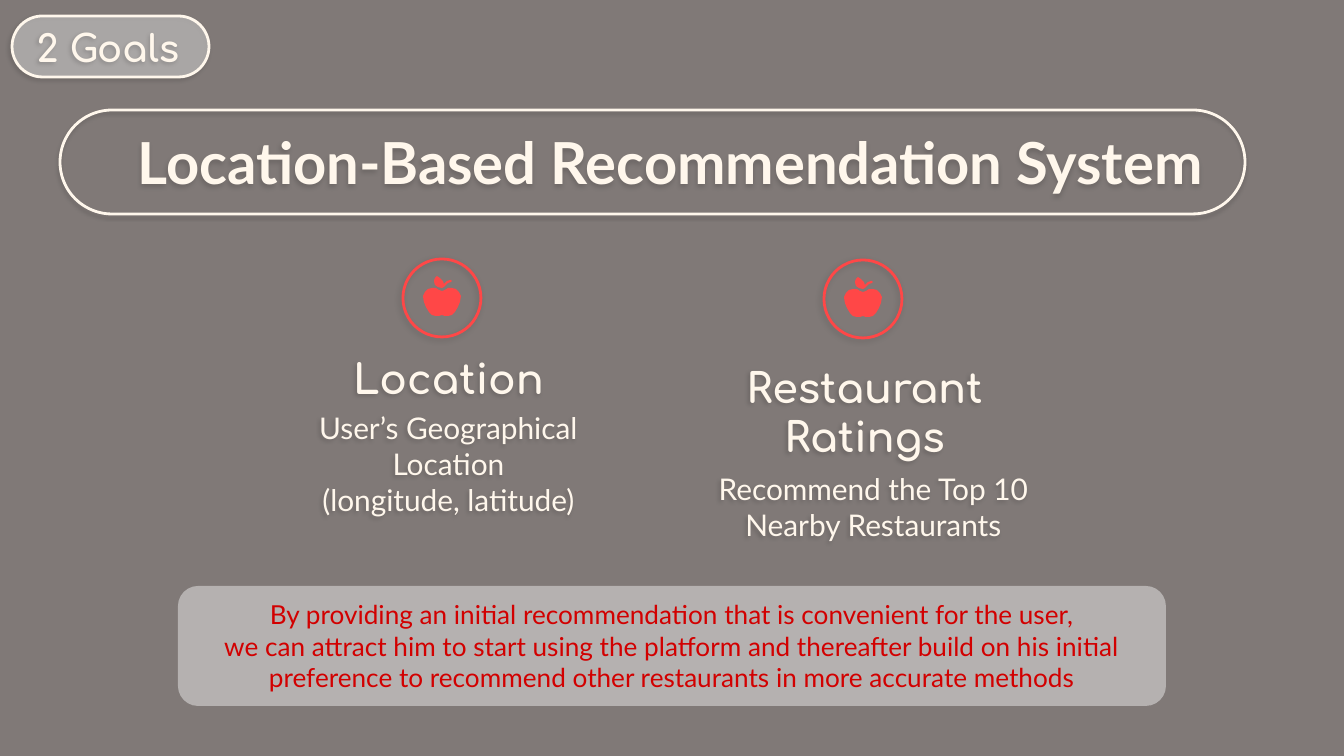
from lxml.etree import SubElement
from pptx import Presentation
from pptx.dml.color import RGBColor
from pptx.enum.shapes import MSO_SHAPE as Shape
from pptx.enum.text import MSO_ANCHOR as Anchor, MSO_AUTO_SIZE as AutoSize, PP_ALIGN as Align
from pptx.oxml.ns import qn
from pptx.util import Pt

PX = 914400 / 134.4
CREAM, RED, DARK_RED = "FFF7EC", "FF4747", "D20000"
HEADING, BODY = "Comfortaa", "Lato"

# Apple points relative to the top centre of the icon
APPLE_HALF = [(0, 15), (3, 14), (6, 12), (10, 12), (14, 13), (17, 16), (19, 20),
              (18, 26), (16, 31), (13, 36), (10, 39), (6, 40), (3, 40), (0, 39)]
APPLE = APPLE_HALF + [(-x, y) for x, y in APPLE_HALF[-2:0:-1]]
LEAF = [(-5, 0), (-7, 2), (-8, 5), (-7, 9), (-4, 11), (0, 12), (2, 11), (4, 9), (6, 7),
        (9, 6), (10, 5), (9, 4), (8, 4), (5, 5), (2, 8), (1, 5), (-2, 2)]


def px(length):
    return round(length * PX)


def color(hex_value):
    return RGBColor.from_string(hex_value)


class GoalsSlide:
    def __init__(self, deck, background):
        self.slide = deck.slides.add_slide(deck.slide_layouts[5])
        self.shapes = self.slide.shapes
        self.slide.background.fill.solid()
        self.slide.background.fill.fore_color.rgb = color(background)

    def shadow(self, shape, alpha=14, blur=2.2):
        shape.shadow.inherit = False
        effects = shape._element.spPr.find(qn("a:effectLst"))
        outer = SubElement(effects, qn("a:outerShdw"), blurRad=str(Pt(blur)),
                           dist=str(Pt(1.5)), dir=str(137 * 60000),
                           algn="bl", rotWithShape="0")
        black = SubElement(outer, qn("a:srgbClr"), val="000000")
        SubElement(black, qn("a:alpha"), val=str(alpha * 1000))

    def outline(self, kind, box, fill=None, line=None):
        shape = self.shapes.add_shape(kind, *map(px, box))
        shape.shadow.inherit = False
        if fill:
            shape.fill.solid()
            shape.fill.fore_color.rgb = color(fill)
            tint = shape._element.spPr.find(qn("a:solidFill")).find(qn("a:srgbClr"))
            SubElement(tint, qn("a:alpha"), val="50000")
        else:
            shape.fill.background()
        if line:
            shape.line.color.rgb = color(line)
            shape.line.width = Pt(1.5)
        else:
            shape.line.fill.background()
        return shape

    def pill(self, box, fill=None):
        pill = self.outline(Shape.ROUNDED_RECTANGLE, box, fill, CREAM)
        pill.adjustments[0] = 0.5
        self.shadow(pill)

    def set_text(self, shape, lines, size, font, tone=CREAM, bold=False,
                 anchor=Anchor.TOP, inset=13):
        frame = shape.text_frame
        frame.word_wrap = True
        frame.auto_size = AutoSize.NONE
        frame.vertical_anchor = anchor
        frame.margin_left = frame.margin_right = px(13)
        frame.margin_top = frame.margin_bottom = px(inset)
        frame.text = "\n".join(lines)
        for paragraph in frame.paragraphs:
            paragraph.alignment = Align.CENTER
            paragraph.font.size = Pt(size)
            paragraph.font.name = font
            paragraph.font.bold = bold
            paragraph.font.color.rgb = color(tone)

    def title(self, box, text):
        title = self.shapes.title
        title.left, title.top, title.width, title.height = map(px, box)
        self.set_text(title, [text], 31, BODY, bold=True)
        self.shadow(title)

    def text(self, box, lines, size, font, bold=False):
        label = self.shapes.add_textbox(*map(px, box))
        self.set_text(label, lines, size, font, bold=bold)
        self.shadow(label)

    def note(self, box, lines):
        panel = self.outline(Shape.ROUNDED_RECTANGLE, box, "EAEAEA")
        self.set_text(panel, lines, 14, BODY, DARK_RED, anchor=Anchor.MIDDLE, inset=7)

    def apple_icon(self, left, top):
        ring = self.outline(Shape.OVAL, (left, top, 78, 78), line=RED)
        self.shadow(ring, 15, 3.4)
        icon = self.shapes.add_group_shape()
        for points in (APPLE, LEAF):
            placed = [(left + 39 + x, top + 17 + y) for x, y in points]
            builder = icon.shapes.build_freeform(*placed[0], scale=PX)
            builder.add_line_segments(placed[1:], close=True)
            part = builder.convert_to_shape()
            part.shadow.inherit = False
            part.fill.solid()
            part.fill.fore_color.rgb = color(RED)
            part.line.fill.background()


def main():
    deck = Presentation()
    deck.slide_width, deck.slide_height = px(1344), px(756)
    goals = GoalsSlide(deck, "807977")

    # Title
    goals.pill((60, 110, 1185, 104))
    goals.title((110, 114, 1134, 85), "Location-Based Recommendation System ")

    # Section tag
    goals.pill((12, 16, 197, 61), "DDDDDD")
    goals.text((0, 12, 216, 82), ["2 Goals"], 20, HEADING, bold=True)

    # The two goals: icon corner, heading corner, description corner
    columns = [
        ((403, 259), (278, 340), "Location",
         (278, 397), ["User’s Geographical Location", "(longitude, latitude)"]),
        ((824, 260), (694, 349), "Restaurant Ratings",
         (703, 458), ["Recommend the Top 10 Nearby Restaurants"]),
    ]
    for icon, heading_at, heading, details_at, details in columns:
        goals.apple_icon(*icon)
        goals.text((*heading_at, 341, 67), [heading], 22, HEADING, bold=True)
        goals.text((*details_at, 341, 128), details, 16, BODY)

    # Closing rationale
    goals.note((178, 586, 988, 120), [
        "By providing an initial recommendation that is convenient for the user,",
        "we can attract him to start using the platform and thereafter build on his initial "
        "preference to recommend other restaurants in more accurate methods",
    ])

    deck.save("out.pptx")


if __name__ == "__main__":
    main()
